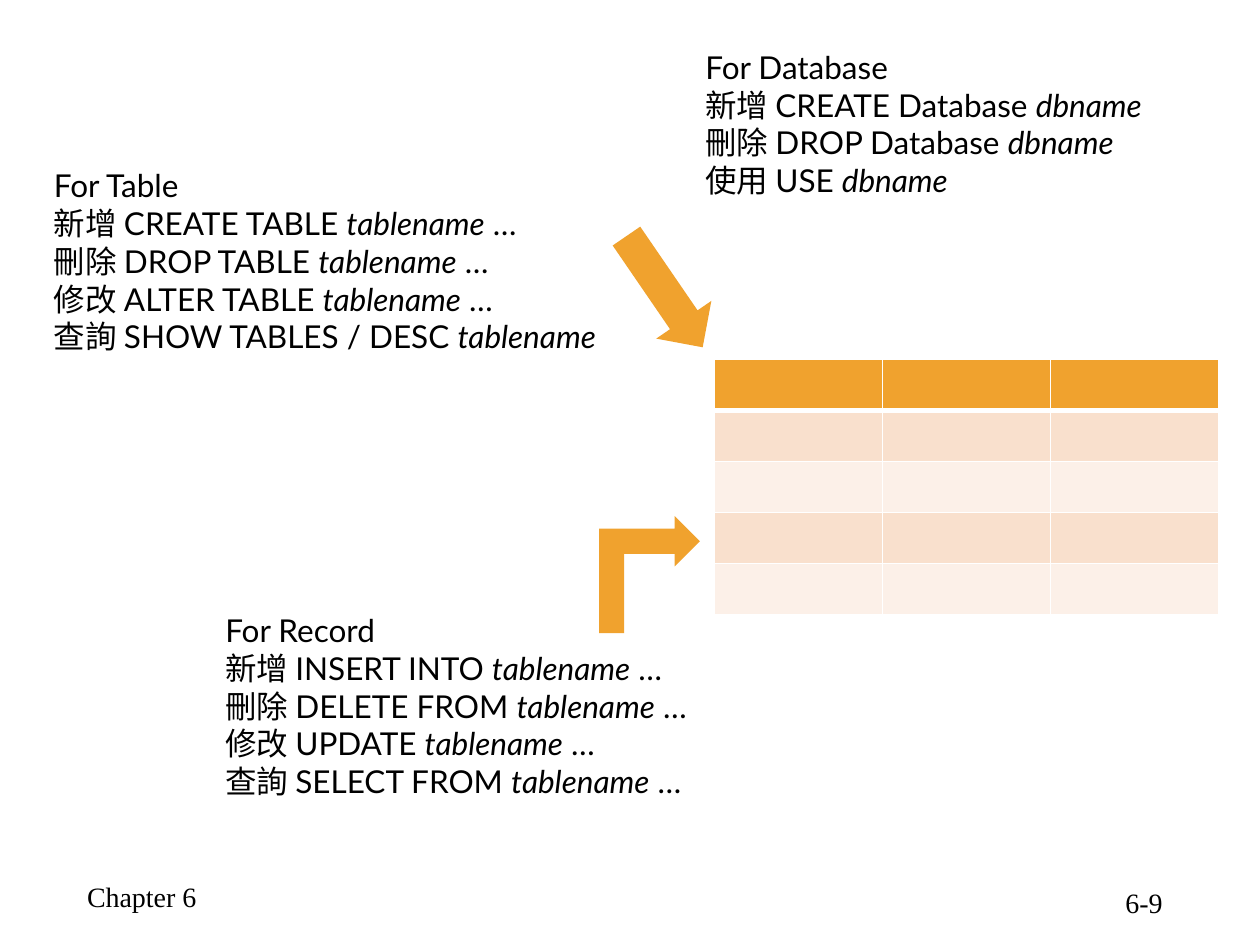
from dataclasses import dataclass

from lxml import etree
from pptx import Presentation
from pptx.dml.color import RGBColor
from pptx.enum.shapes import MSO_SHAPE
from pptx.enum.text import MSO_ANCHOR, PP_ALIGN
from pptx.oxml.ns import qn
from pptx.util import Inches, Pt

DOWN = MSO_SHAPE.DOWN_ARROW
BENT = MSO_SHAPE.BENT_UP_ARROW
TOP, BOTTOM = MSO_ANCHOR.TOP, MSO_ANCHOR.BOTTOM
LEFT, CENTER = PP_ALIGN.LEFT, PP_ALIGN.CENTER


@dataclass(frozen=True)
class Theme:
    ink: str = "000000"
    accent: str = "F0A22E"
    bands: tuple[str, str] = ("F9E0CD", "FCF0E8")
    rule: str = "FFFFFF"
    body: str = "Lato"
    foot: str = "Times New Roman"
    body_size: int = 18
    foot_size: int = 16


@dataclass(frozen=True)
class Box:
    x: float
    y: float
    w: float
    h: float

    def place(self) -> list[int]:
        return [Inches(n) for n in (self.x, self.y, self.w, self.h)]


@dataclass(frozen=True)
class Note:
    box: Box
    title: str
    lines: tuple[tuple[str, str, str], ...]  # command, name in italics, tail


@dataclass(frozen=True)
class Arrow:
    kind: int
    box: Box
    turn: float
    flip: bool = False


THEME = Theme()

NOTES = (
    Note(Box(0.33, 1.27, 4.53, 1.62), "For Table", (
        ("新增 CREATE TABLE ", "tablename", " …"),
        ("刪除 DROP TABLE ", "tablename", " …"),
        ("修改 ALTER TABLE ", "tablename", " …"),
        ("查詢 SHOW TABLES / DESC ", "tablename", ""),
    )),
    Note(Box(1.69, 4.8, 3.96, 1.62), "For Record", (
        ("新增 INSERT INTO ", "tablename", " …"),
        ("刪除 DELETE FROM ", "tablename", " …"),
        ("修改 UPDATE ", "tablename", " …"),
        ("查詢 SELECT FROM ", "tablename", " …"),
    )),
    Note(Box(5.5, 0.33, 3.84, 1.31), "For Database", (
        ("新增 CREATE Database ", "dbname", ""),
        ("刪除 DROP Database ", "dbname", ""),
        ("使用 USE ", "dbname", ""),
    )),
)

ARROWS = (
    Arrow(DOWN, Box(5.01, 1.78, 0.53, 1.07), 325.6),
    Arrow(BENT, Box(4.69, 4.16, 0.93, 0.8), 90, flip=True),
)

FEET = (
    (Box(0.53, 6.9, 1.19, 0.4), "Chapter 6"),
    (Box(8.55, 6.94, 1.06, 0.4), "6-9"),
)

GRID = Box(5.67, 2.85, 4, 2.03)
ROWS, COLS = 5, 3


def add_run(para, text: str, face: str, size: int, slant: bool = False) -> None:
    run = para.add_run()
    run.text = text
    run.font.name = face
    run.font.size = Pt(size)
    run.font.italic = slant
    run.font.color.rgb = RGBColor.from_string(THEME.ink)


def add_frame(slide, box: Box, anchor, align):
    frame = slide.shapes.add_textbox(*box.place()).text_frame
    frame.word_wrap = True
    frame.vertical_anchor = anchor
    frame.paragraphs[0].alignment = align
    return frame


def draw_note(slide, note: Note) -> None:
    frame = add_frame(slide, note.box, TOP, LEFT)
    add_run(frame.paragraphs[0], note.title, THEME.body, THEME.body_size)
    for line in note.lines:
        para = frame.add_paragraph()
        for text, slant in zip(line, (False, True, False)):
            if text:
                add_run(para, text, THEME.body, THEME.body_size, slant)


def draw_foot(slide, box: Box, text: str) -> None:
    frame = add_frame(slide, box, BOTTOM, CENTER)
    add_run(frame.paragraphs[0], text, THEME.foot, THEME.foot_size)


def draw_arrow(slide, arrow: Arrow) -> None:
    shape = slide.shapes.add_shape(arrow.kind, *arrow.box.place())
    shape.shadow.inherit = False
    shape.fill.solid()
    shape.fill.fore_color.rgb = RGBColor.from_string(THEME.accent)
    shape.line.fill.background()
    shape.rotation = arrow.turn
    if arrow.flip:
        shape.element.spPr.find(qn("a:xfrm")).set("flipH", "1")


def add_rule(cell, side: str, width: float) -> None:
    props = cell._tc.get_or_add_tcPr()
    line = etree.SubElement(props, qn(f"a:ln{side}"), w=str(Pt(width)))
    fill = etree.SubElement(line, qn("a:solidFill"))
    etree.SubElement(fill, qn("a:srgbClr"), val=THEME.rule)


def draw_grid(slide) -> None:
    table = slide.shapes.add_table(ROWS, COLS, *GRID.place()).table
    for col in table.columns:
        col.width = Inches(GRID.w / COLS)
    for i, row in enumerate(table.rows):
        row.height = Inches(GRID.h / ROWS)
        # The heavy rule lies between the header and the first band
        heavy = {0: "B", 1: "T"}.get(i)
        color = THEME.bands[(i - 1) % 2] if i else THEME.accent
        for cell in row.cells:
            for side in "LRTB":
                add_rule(cell, side, 3 if side == heavy else 1)
            cell.fill.solid()
            cell.fill.fore_color.rgb = RGBColor.from_string(color)


def main() -> None:
    deck = Presentation()
    deck.slide_width, deck.slide_height = Inches(10), Inches(7.5)
    slide = deck.slides.add_slide(deck.slide_layouts[6])

    # Footer
    for box, text in FEET:
        draw_foot(slide, box, text)

    # Sample table
    draw_grid(slide)

    # Command lists and the arrows to the table
    for note in NOTES:
        draw_note(slide, note)
    for arrow in ARROWS:
        draw_arrow(slide, arrow)

    deck.save("out.pptx")


if __name__ == "__main__":
    main()
